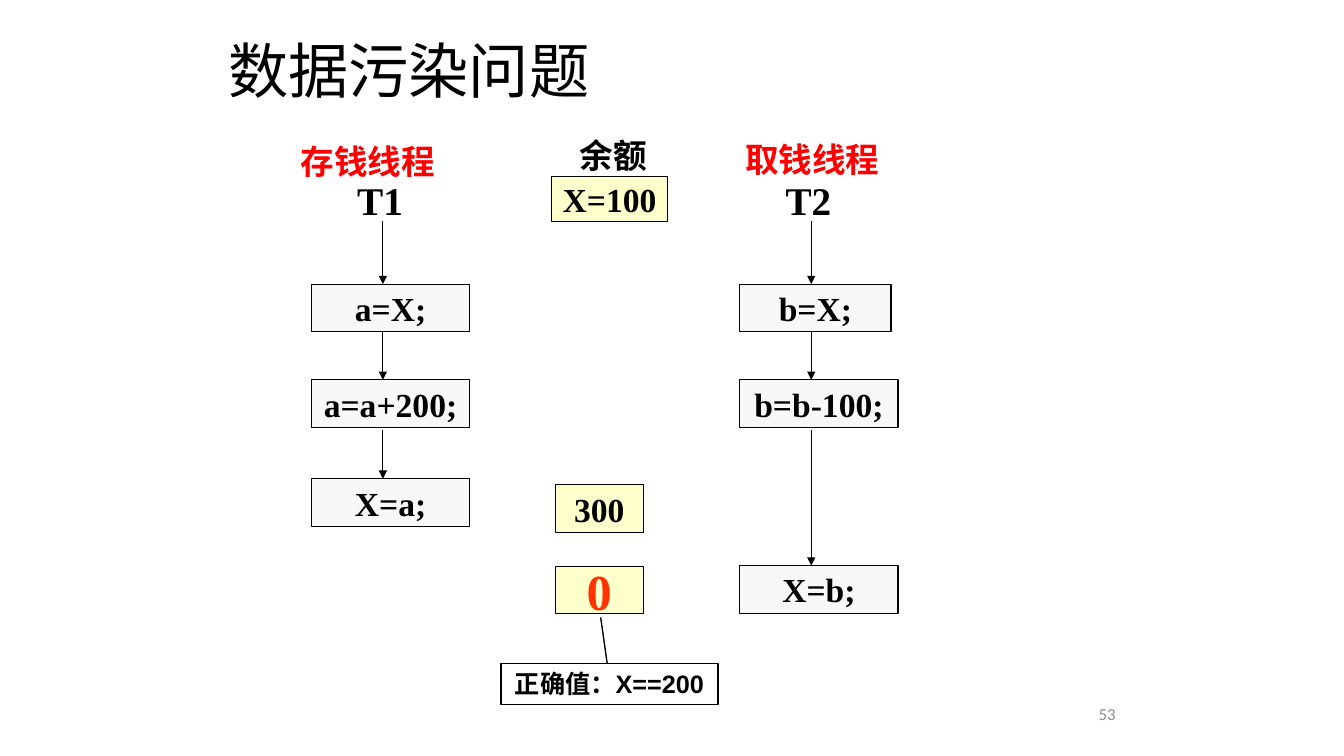
from lxml.etree import SubElement
from pptx import Presentation
from pptx.dml.color import RGBColor
from pptx.enum.shapes import MSO_CONNECTOR, MSO_SHAPE
from pptx.enum.text import MSO_ANCHOR, PP_ALIGN
from pptx.oxml.ns import qn
from pptx.util import Pt

BLACK = RGBColor(0x00, 0x00, 0x00)
RED = RGBColor(0xFF, 0x00, 0x00)
ORANGE_RED = RGBColor(0xFF, 0x33, 0x00)
GRAY = RGBColor(0x8C, 0x8C, 0x8C)
STEP_FILL = RGBColor(0xF8, 0xF8, 0xF8)
BALANCE_FILL = RGBColor(0xFF, 0xFF, 0xCC)

SERIF = "Times New Roman"
STEP_HEIGHT = 34
STEP_WIDTH = 113


def write(shape, text, size, font, color=BLACK, bold=True,
          align=PP_ALIGN.CENTER, anchor=MSO_ANCHOR.MIDDLE, wrap=True):
    frame = shape.text_frame
    frame.word_wrap = wrap
    frame.vertical_anchor = anchor
    paragraph = frame.paragraphs[0]
    paragraph.text = text
    paragraph.alignment = align
    paragraph.font.size = Pt(size)
    paragraph.font.name = font
    paragraph.font.bold = bold
    paragraph.font.color.rgb = color


def add_label(page, text, left, top, width, height, size, font="Calibri", **style):
    box = page.shapes.add_textbox(Pt(left), Pt(top), Pt(width), Pt(height))
    write(box, text, size, font, **style)


def add_value_box(page, text, left, top, width, height, fill, size=24, color=BLACK):
    box = page.shapes.add_shape(MSO_SHAPE.RECTANGLE, Pt(left), Pt(top), Pt(width), Pt(height))
    box.shadow.inherit = False
    box.fill.solid()
    box.fill.fore_color.rgb = fill
    box.line.color.rgb = BLACK
    box.line.width = Pt(0.75)
    write(box, text, size, SERIF, color, wrap=False)


def add_down_arrow(page, x, top, bottom):
    arrow = page.shapes.add_connector(MSO_CONNECTOR.STRAIGHT, Pt(x), Pt(top), Pt(x), Pt(bottom))
    arrow.line.color.rgb = BLACK
    arrow.line.width = Pt(0.75)
    SubElement(arrow.line._get_or_add_ln(), qn("a:tailEnd"), type="triangle")
    SubElement(arrow._element.spPr, qn("a:effectLst"))


def add_thread(page, name, left, steps):
    """Draw a thread's name and its steps, given as (code, top, width, arrow start)."""
    axis = left + 51
    add_label(page, name, axis - 36, 122.4, 68, 41, 28, SERIF, anchor=MSO_ANCHOR.TOP)
    for code, top, width, arrow_start in steps:
        add_value_box(page, code, left, top, width, STEP_HEIGHT, STEP_FILL)
        add_down_arrow(page, axis, arrow_start, top)


def add_callout(page, text, left, top, width, height):
    callout = page.shapes.add_shape(MSO_SHAPE.LINE_CALLOUT_1, Pt(left), Pt(top), Pt(width), Pt(height))
    for index, value in enumerate((-0.01, 0.49, -1.14, 0.46)):
        callout.adjustments[index] = value
    callout.shadow.inherit = False
    callout.fill.background()
    callout.line.color.rgb = BLACK
    callout.line.width = Pt(1)
    write(callout, text, 18, "Arial", anchor=MSO_ANCHOR.TOP)


def main():
    deck = Presentation()
    deck.slide_width, deck.slide_height = Pt(960), Pt(540)
    page = deck.slides.add_slide(deck.slide_layouts[6])

    add_label(page, "数据污染问题", 156, 9.4, 594, 81, 43, bold=False, align=PP_ALIGN.LEFT)
    add_label(page, "53", 774, 492, 30, 36, 12, color=GRAY, bold=False, align=PP_ALIGN.RIGHT)

    for heading, left, top, width, color in (
        ("存钱线程", 196.5, 97, 132.5, RED),
        ("余额", 391.7, 92.9, 93, BLACK),
        ("取钱线程", 510.5, 96, 139.5, RED),
    ):
        add_label(page, heading, left, top, width, 36, 24, color=color, anchor=MSO_ANCHOR.TOP)

    add_thread(page, "T1", 222.5, (
        ("a=X;", 203, STEP_WIDTH, 157.7),
        ("a=a+200;", 271.4, STEP_WIDTH, 237),
        ("X=a;", 342, STEP_WIDTH, 307.5),
    ))
    add_thread(page, "T2", 528.5, (
        ("b=X;", 203, 108, 157.7),
        ("b=b-100;", 271.4, STEP_WIDTH, 237),
        ("X=b;", 404, STEP_WIDTH, 307.5),
    ))

    add_value_box(page, "X=100", 394, 126, 83, 32.4, BALANCE_FILL)
    add_value_box(page, "300", 396.5, 346.3, 63, STEP_HEIGHT, BALANCE_FILL)
    add_value_box(page, "0", 396.5, 404.6, 63, STEP_HEIGHT, BALANCE_FILL, 36, ORANGE_RED)
    add_callout(page, "正确值：X==200", 357.8, 474, 155, 29)

    deck.save("out.pptx")


if __name__ == "__main__":
    main()
